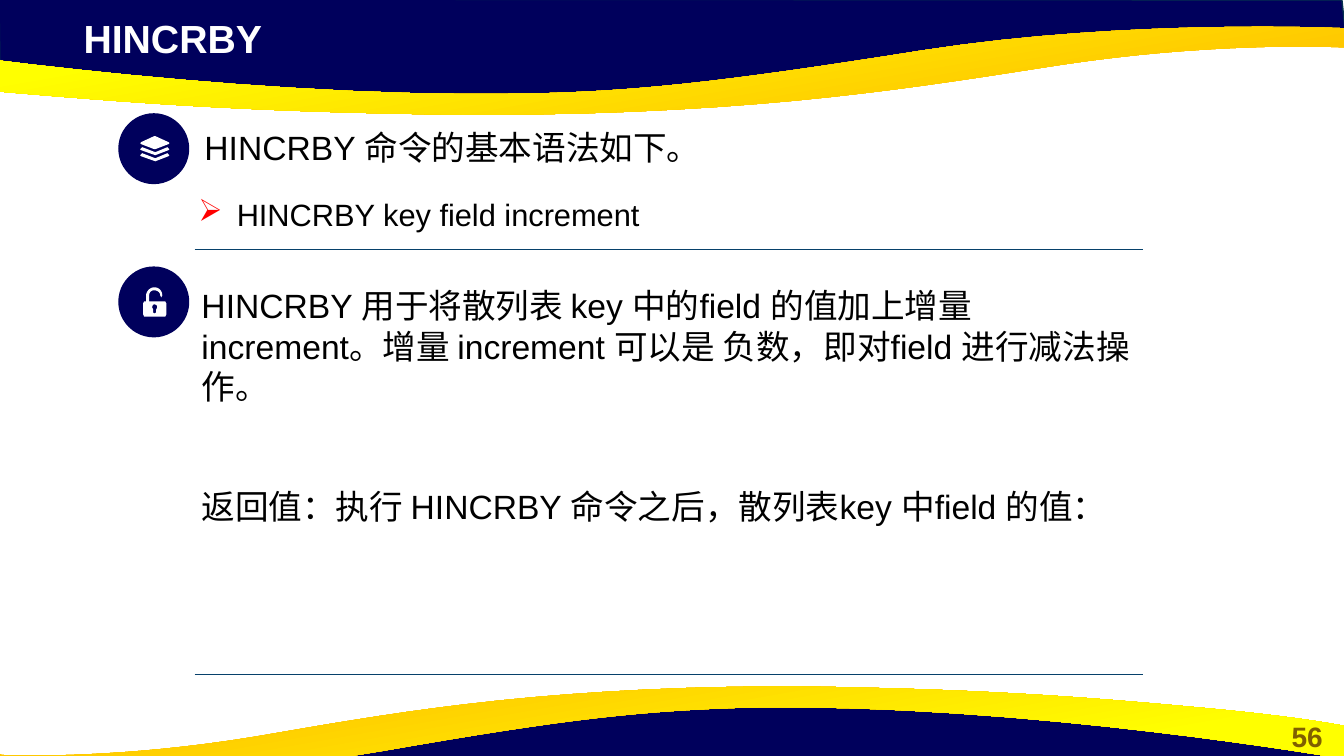
from dataclasses import dataclass

from lxml import etree
from pptx import Presentation
from pptx import util as u
from pptx.dml.color import RGBColor
from pptx.enum import shapes, text
from pptx.oxml.ns import qn

PX = 9144  # 100 px to the inch
CURVE_STEPS = 16

NAVY = RGBColor(0x00, 0x00, 0x5C)
NAVY_EDGE = RGBColor(0x05, 0x30, 0x4F)
GOLD = RGBColor(0xFF, 0xC0, 0x00)
YELLOW = RGBColor(0xFF, 0xFF, 0x00)
OLIVE = RGBColor(0x80, 0x60, 0x00)
RULE_BLUE = RGBColor(0x07, 0x41, 0x6B)
RED = RGBColor(0xFF, 0x00, 0x00)
WHITE = RGBColor(0xFF, 0xFF, 0xFF)
BLACK = RGBColor(0x00, 0x00, 0x00)

# A contour is a start point, then points (x, y) for lines
# and (x1, y1, x2, y2, x, y) for Bézier curves.
Contour = list[tuple[int, ...]]


@dataclass
class Label:
    box: tuple[int, int, int, int]
    paragraphs: list[str]
    size: int = 24
    color: RGBColor = BLACK
    bold: bool = False
    align: text.PP_ALIGN = text.PP_ALIGN.LEFT
    anchor: text.MSO_ANCHOR = text.MSO_ANCHOR.TOP
    bullet: str = ""
    line_spacing: float = 1.0
    gap: int = 0  # points between paragraphs


@dataclass
class Wave:
    band: Contour
    ribbon: Contour
    angle: int


@dataclass
class Badge:
    top: int
    icon: list[Contour]


WAVES = [
    Wave(
        [(-1, -1), (0, 70), (293, 102), (559, 100), (795, 88), (1016, 50),
         (1238, 33), (1335, 38), (1331, 0)],
        [(483, 114), (443, 114, 401, 113, 356, 112), (206, 108, 110, 100, 36, 94),
         (-88, 84, -130, 75, -133, 75), (-133, 42),
         (-133, 42, 218, 98, 517, 93), (626, 91, 708, 83, 915, 50),
         (1121, 18, 1333, 28, 1333, 28), (1333, 47), (1330, 47),
         (1305, 46, 1195, 43, 1055, 64), (918, 85, 762, 113, 483, 114)],
        100),
    Wave(
        [(1333, 794), (1332, 724), (1040, 691), (773, 693), (538, 706),
         (317, 743), (95, 760), (-3, 756), (1, 793)],
        [(772, 681), (809, 681, 847, 682, 888, 683), (1025, 687, 1112, 695, 1179, 701),
         (1292, 711, 1330, 720, 1333, 720), (1333, 753),
         (1333, 753, 1014, 697, 742, 702), (642, 705, 567, 712, 380, 745),
         (192, 778, -1, 768, -1, 768), (-1, 748), (2, 749),
         (25, 750, 125, 752, 252, 731), (376, 710, 519, 682, 772, 681)],
        280),
]


def chevron(top: int) -> Contour:
    return [(141, top), (154, top + 5), (166, top), (168, top + 2), (167, top + 3),
            (154, top + 8), (140, top + 3), (139, top + 2)]


LAYERS: list[Contour] = [
    [(139, 142), (140, 141), (153, 135), (154, 135), (167, 141), (168, 142),
     (167, 143), (154, 148), (153, 148), (140, 143)],
    chevron(146),
    chevron(152),
]
PADLOCK: list[Contour] = [
    [(164, 314), (143, 314), (142, 312), (142, 301), (143, 299), (145, 299),
     (145, 293), (145, 289, 149, 285, 153, 285), (158, 285, 161, 289, 161, 293),
     (160, 295), (159, 293), (159, 290, 156, 288, 153, 288),
     (150, 288, 148, 290, 148, 293), (148, 299), (164, 299), (165, 301), (165, 312)],
    [(153, 302), (152, 302, 151, 303, 151, 305), (152, 307), (152, 310), (153, 311),
     (155, 310), (155, 307), (156, 305), (156, 303, 155, 302, 153, 302)],
]
BADGES = [Badge(265, PADLOCK), Badge(113, LAYERS)]
RULE_TOPS = [247, 669]

LABELS = [
    Label((1260, 709, 73, 44), ["56"], 20, OLIVE, True, text.PP_ALIGN.CENTER),
    Label((73, 9, 768, 57), ["HINCRBY"], 28, WHITE, True),
    Label((187, 182, 785, 50), ["HINCRBY key field increment"], 22,
          bullet="➢", line_spacing=1.2),
    Label((193, 124, 546, 43), ["HINCRBY 命令的基本语法如下。"],
          anchor=text.MSO_ANCHOR.MIDDLE),
    Label((190, 278, 942, 212),
          ["HINCRBY 用于将散列表 key 中的field 的值加上增量increment。"
           "增量 increment 可以是 负数，即对field 进行减法操作。",
           "返回值：执行 HINCRBY 命令之后，散列表key 中field 的值："], gap=57),
]


def flatten(contour: Contour) -> list[tuple[float, float]]:
    """Turn a contour into EMU points, sampling its curves."""
    points = [contour[0]]
    for step in contour[1:]:
        if len(step) == 2:
            points.append(step)
            continue
        x0, y0 = points[-1]
        x1, y1, x2, y2, x3, y3 = step
        for i in range(1, CURVE_STEPS + 1):
            t = i / CURVE_STEPS
            a, b, c, d = (1 - t)**3, 3 * t * (1 - t)**2, 3 * t * t * (1 - t), t**3
            points.append((a * x0 + b * x1 + c * x2 + d * x3,
                           a * y0 + b * y1 + c * y2 + d * y3))
    return [(x * PX, y * PX) for x, y in points]


def add_outline(s, contours: list[Contour]):
    paths = [flatten(contour) for contour in contours]
    builder = s.shapes.build_freeform(*paths[0][0])
    for i, points in enumerate(paths):
        if i:
            builder.move_to(*points[0])
        builder.add_line_segments(points[1:], close=True)
    sp = builder.convert_to_shape()
    sp.shadow.inherit = False
    sp.line.fill.background()
    return sp


def paint(sp, fill: RGBColor, line: RGBColor | None = None) -> None:
    sp.fill.solid()
    sp.fill.fore_color.rgb = fill
    if line is not None:
        sp.line.color.rgb = line
        sp.line.width = u.Pt(1)


def add_wave(s, wave: Wave) -> None:
    paint(add_outline(s, [wave.band]), NAVY, NAVY_EDGE)
    fill = add_outline(s, [wave.ribbon]).fill
    fill.gradient()
    fill.gradient_angle = wave.angle
    for stop, color, position in zip(fill.gradient_stops, (GOLD, YELLOW), (0.11, 0.78)):
        stop.color.rgb = color
        stop.position = position


def add_badge(s, badge: Badge) -> None:
    sp = s.shapes.add_shape(shapes.MSO_SHAPE.OVAL, 118 * PX, badge.top * PX, 69 * PX, 69 * PX)
    sp.shadow.inherit = False
    paint(sp, NAVY, NAVY)
    paint(add_outline(s, badge.icon), WHITE)


def add_rule(s, top: int) -> None:
    line = s.shapes.add_connector(shapes.MSO_CONNECTOR.STRAIGHT,
                                  193 * PX, top * PX, 1134 * PX, top * PX)
    line.line.color.rgb = RULE_BLUE
    line.line.width = u.Pt(0.5)
    etree.SubElement(line._element.spPr, qn("a:effectLst"))


def add_bullet(p, char: str) -> None:
    pPr = p._p.get_or_add_pPr()
    pPr.set("marL", str(38 * PX))
    pPr.set("indent", str(-38 * PX))
    color = etree.SubElement(pPr, qn("a:buClr"))
    etree.SubElement(color, qn("a:srgbClr"), val=str(RED))
    etree.SubElement(pPr, qn("a:buChar"), char=char)


def add_label(s, label: Label) -> None:
    tf = s.shapes.add_textbox(*(n * PX for n in label.box)).text_frame
    tf.word_wrap = True
    tf.vertical_anchor = label.anchor
    tf.text = "\n".join(label.paragraphs)
    for i, p in enumerate(tf.paragraphs):
        p.alignment = label.align
        p.line_spacing = label.line_spacing
        if i:
            p.space_before = u.Pt(label.gap)
        if label.bullet:
            add_bullet(p, label.bullet)
        for r in p.runs:
            r.font.name = "Arial"
            r.font.size = u.Pt(label.size)
            r.font.bold = label.bold
            r.font.color.rgb = label.color


def main() -> None:
    prs = Presentation()
    prs.slide_width, prs.slide_height = u.Emu(1333 * PX), u.Emu(750 * PX)
    s = prs.slides.add_slide(prs.slide_layouts[6])
    for wave in WAVES:
        add_wave(s, wave)
    for badge in BADGES:
        add_badge(s, badge)
    for top in RULE_TOPS:
        add_rule(s, top)
    for label in LABELS:
        add_label(s, label)
    prs.save("out.pptx")


if __name__ == "__main__":
    main()
